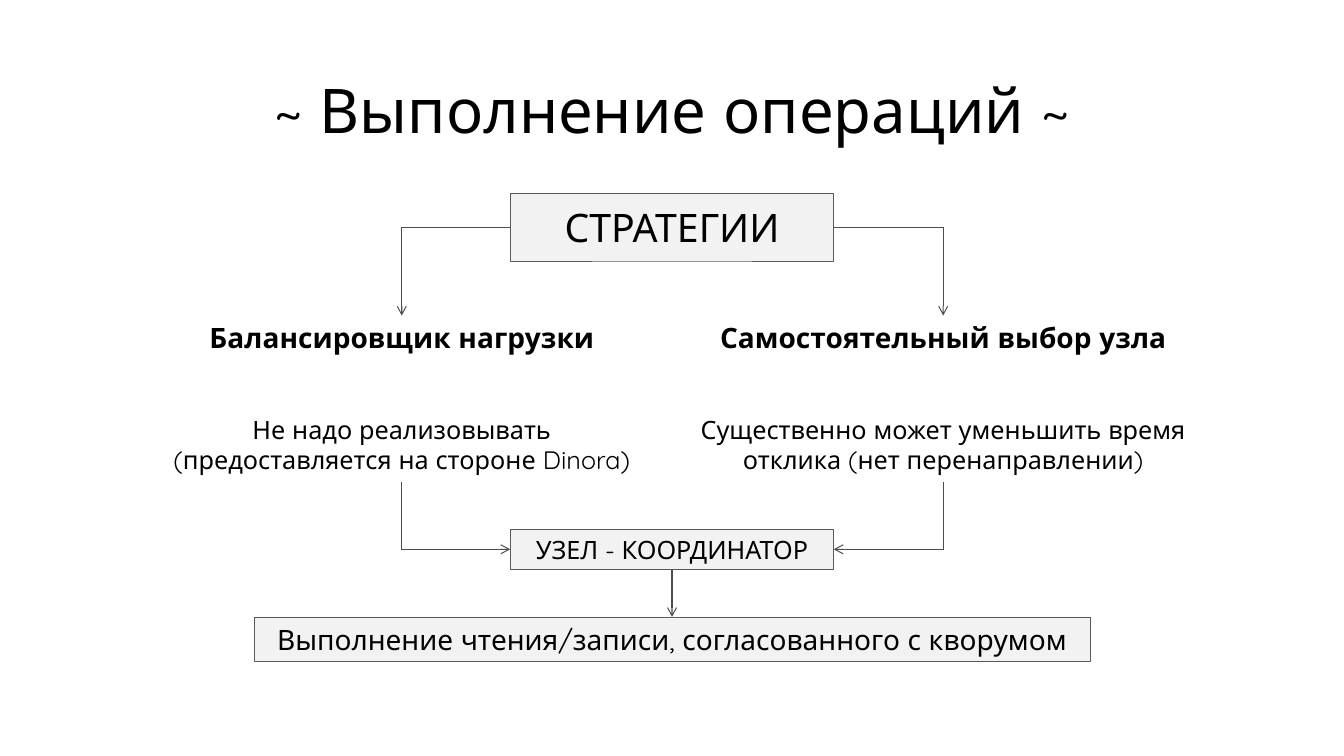
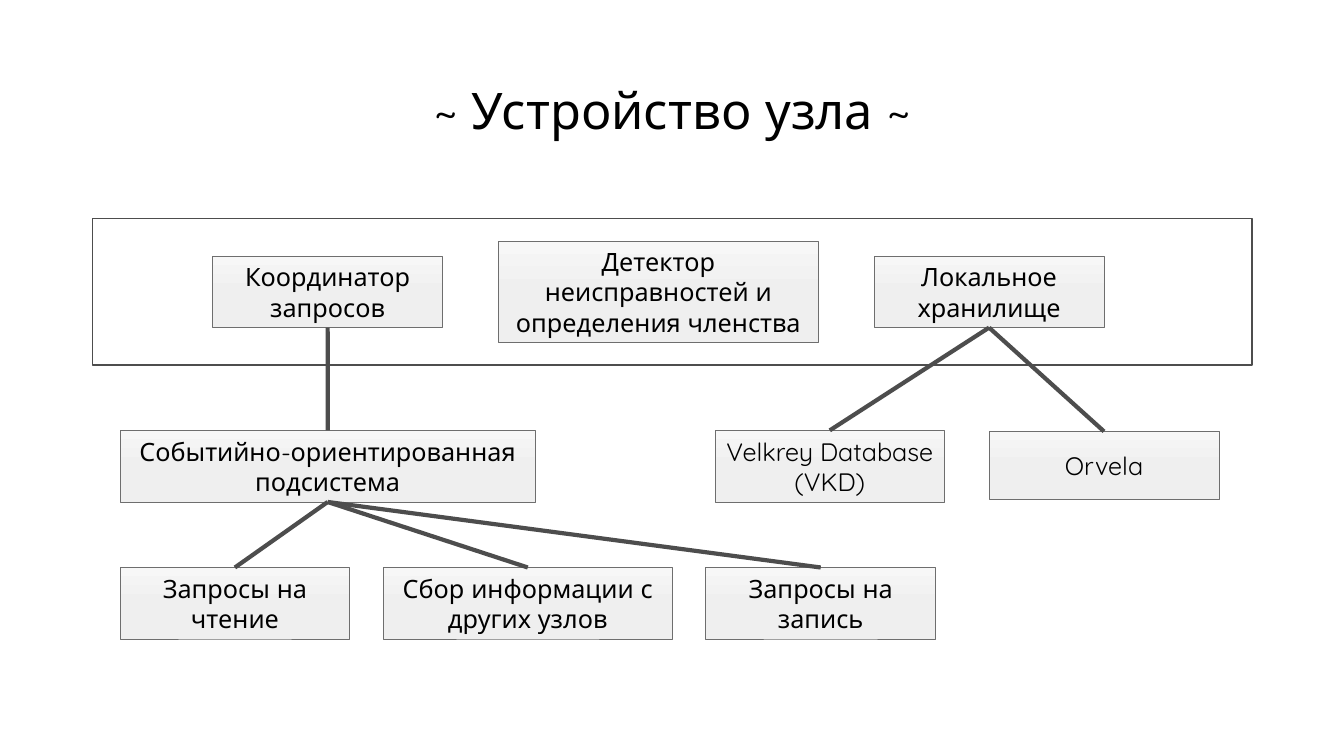
"""Build two diagram slides: operation strategies and the structure of a node."""
from copy import deepcopy
from dataclasses import dataclass

from lxml import etree
from pptx import Presentation
from pptx.dml.color import RGBColor
from pptx.enum import shapes, text
from pptx.oxml.ns import qn
from pptx.util import Inches, Pt

FONT = "Quicksand"
BLACK = RGBColor(0x00, 0x00, 0x00)
WHITE = RGBColor(0xFF, 0xFF, 0xFF)
PALE = RGBColor(0xF2, 0xF2, 0xF2)
BORDER = RGBColor(0x59, 0x59, 0x59)
NODE_BORDER = RGBColor(0x6E, 0x6E, 0x6E)
LINK = RGBColor(0x4D, 0x4D, 0x4D)
GRADIENT = (
    RGBColor(0xF7, 0xF7, 0xF7),
    RGBColor(0xEF, 0xEF, 0xEF),
    RGBColor(0xED, 0xED, 0xED),
)
TOP, LEFT, BOTTOM, RIGHT = range(4)
MARGIN, CONTENT_WIDTH, BAND_HEIGHT = 0.92, 11.5, 1.45
NODE_WIDTH, NODE_HEIGHT = 2.28, 0.71
COLUMN_LEFT, COLUMN_WIDTH = 1.3, 5.37


@dataclass(frozen=True)
class Box:
    label: str
    left: float
    top: float
    width: float = NODE_WIDTH
    height: float = NODE_HEIGHT
    size: int = 18


@dataclass(frozen=True)
class Link:
    start: str
    start_side: int
    end: str
    end_side: int
    arrow: str = ""
    bent: bool = False
    weight: float = 0.75


STRATEGY_BOXES = {
    "strategies": Box("СТРАТЕГИИ", 5.06, 1.92, 3.21, 0.67, 28),
    "coordinator": Box("УЗЕЛ - КООРДИНАТОР", 5.06, 5.25, 3.21, 0.4),
    "quorum": Box(
        "Выполнение чтения/записи, согласованного с кворумом", 2.52, 6.12, 8.29, 0.44, 20
    ),
}
STRATEGY_COLUMNS = {
    "balancer": (
        "Балансировщик нагрузки",
        "Не надо реализовывать (предоставляется на стороне Dinora)",
    ),
    "own choice": (
        "Самостоятельный выбор узла",
        "Существенно может уменьшить время отклика (нет перенаправлении)",
    ),
}
NODE_BOXES = {
    "coordinator": Box("Координатор запросов", 2.11, 2.54),
    "detector": Box(
        "Детектор неисправностей и определения членства", 4.94, 2.39, 3.18, 1.01
    ),
    "storage": Box("Локальное хранилище", 8.67, 2.54),
    "first store": Box("Velkrey Database (VKD)", 7.09, 4.27),
    "second store": Box("Orvela", 9.81, 4.28, height=0.67),
    "events": Box("Событийно-ориентированная подсистема", 1.19, 4.27, 4.12),
    "reads": Box("Запросы на чтение", 1.19, 5.63),
    "collection": Box("Сбор информации с других узлов", 3.8, 5.63, 2.87),
    "writes": Box("Запросы на запись", 7, 5.63),
}
NODE_TREE = {
    "coordinator": ("events",),
    "storage": ("first store", "second store"),
    "events": ("reads", "collection", "writes"),
}


def format_paragraph(para, size: int, bold: bool = False) -> None:
    """Centre a paragraph and style its runs."""
    para.alignment = text.PP_ALIGN.CENTER
    for span in para.runs:
        span.font.name = FONT
        span.font.size = Pt(size)
        span.font.bold = bold
        span.font.color.rgb = BLACK


def add_page(deck, title: str, size: int):
    """Add a title-only slide with its title in place."""
    page = deck.slides.add_slide(deck.slide_layouts[5])
    heading = page.shapes.title
    heading.left, heading.top = Inches(MARGIN), Inches(0.4)
    heading.width, heading.height = Inches(CONTENT_WIDTH), Inches(BAND_HEIGHT)
    frame = heading.text_frame
    frame.text = title
    frame.word_wrap = True
    frame.auto_size = text.MSO_AUTO_SIZE.NONE
    frame.vertical_anchor = text.MSO_ANCHOR.MIDDLE
    frame.paragraphs[0].line_spacing = 0.9
    format_paragraph(frame.paragraphs[0], size)
    return page


def add_box(page, box: Box, fill: RGBColor, border: RGBColor, weight: float = 0.5):
    """Draw a bordered rectangle with a centred label."""
    shape = page.shapes.add_shape(
        shapes.MSO_SHAPE.RECTANGLE,
        Inches(box.left), Inches(box.top), Inches(box.width), Inches(box.height),
    )
    shape.shadow.inherit = False
    shape.fill.solid()
    shape.fill.fore_color.rgb = fill
    shape.line.color.rgb = border
    shape.line.width = Pt(weight)
    if box.label:
        frame = shape.text_frame
        frame.text = box.label
        frame.word_wrap = True
        frame.vertical_anchor = text.MSO_ANCHOR.MIDDLE
        format_paragraph(frame.paragraphs[0], box.size)
    return shape


def apply_gradient(shape) -> None:
    """Fill a shape with the three-stop vertical gradient."""
    fill = shape.fill
    fill.gradient()
    fill.gradient_angle = 270
    stop_list = shape._element.spPr.find(f".//{qn('a:gsLst')}")
    stop_list.insert(1, deepcopy(stop_list[0]))
    for index, (stop, color) in enumerate(zip(fill.gradient_stops, GRADIENT)):
        stop.position = index / 2
        stop.color.rgb = color


def add_column(page, left: float, heading: str, detail: str):
    """Write a strategy name with its advantage below."""
    column = page.shapes.add_textbox(
        Inches(left), Inches(3.13), Inches(COLUMN_WIDTH), Inches(1.65)
    )
    frame = column.text_frame
    frame.word_wrap = True
    frame.text = heading
    format_paragraph(frame.paragraphs[0], 20, bold=True)
    para = frame.add_paragraph()
    para.text = detail
    para.space_before = Pt(43)
    format_paragraph(para, 18)
    return column


def add_link(page, ends: dict, link: Link) -> None:
    """Join two shapes by a straight or bent connector."""
    kind = shapes.MSO_CONNECTOR.ELBOW if link.bent else shapes.MSO_CONNECTOR.STRAIGHT
    line = page.shapes.add_connector(kind, 0, 0, 0, 0)
    line.begin_connect(ends[link.start], link.start_side)
    line.end_connect(ends[link.end], link.end_side)
    line.line.color.rgb = LINK
    line.line.width = Pt(link.weight)
    properties = line._element.spPr
    if link.bent:
        properties.find(qn("a:prstGeom")).set("prst", "bentConnector2")
    if link.arrow:
        outline = properties.find(qn("a:ln"))
        etree.SubElement(outline, qn(f"a:{link.arrow}")).set("type", "arrow")
    etree.SubElement(properties, qn("a:effectLst"))


def build_strategies(deck) -> None:
    """Build the slide on how operations are carried out."""
    page = add_page(deck, "~ Выполнение операций ~", 44)
    ends = {
        name: add_box(page, box, PALE, BORDER) for name, box in STRATEGY_BOXES.items()
    }
    for index, (name, wording) in enumerate(STRATEGY_COLUMNS.items()):
        ends[name] = add_column(page, COLUMN_LEFT + index * COLUMN_WIDTH, *wording)
    for name, side in zip(STRATEGY_COLUMNS, (LEFT, RIGHT)):
        add_link(page, ends, Link("strategies", side, name, TOP, "tailEnd", True))
        add_link(page, ends, Link("coordinator", side, name, BOTTOM, "headEnd", True))
    add_link(page, ends, Link("coordinator", BOTTOM, "quorum", TOP, "tailEnd"))


def build_node(deck) -> None:
    """Build the slide on the parts of a node."""
    page = add_page(deck, "~ Устройство узла ~", 36)
    band = Box("", MARGIN, 2.17, CONTENT_WIDTH, BAND_HEIGHT)
    add_box(page, band, WHITE, LINK, 1)
    ends = {
        name: add_box(page, box, PALE, NODE_BORDER) for name, box in NODE_BOXES.items()
    }
    for shape in ends.values():
        apply_gradient(shape)
    for parent, children in NODE_TREE.items():
        for child in children:
            add_link(page, ends, Link(parent, BOTTOM, child, TOP, weight=3))


def main() -> None:
    """Build and save the deck."""
    deck = Presentation()
    deck.slide_width, deck.slide_height = Inches(13.33), Inches(7.5)
    build_strategies(deck)
    build_node(deck)
    deck.save("out.pptx")


if __name__ == "__main__":
    main()
